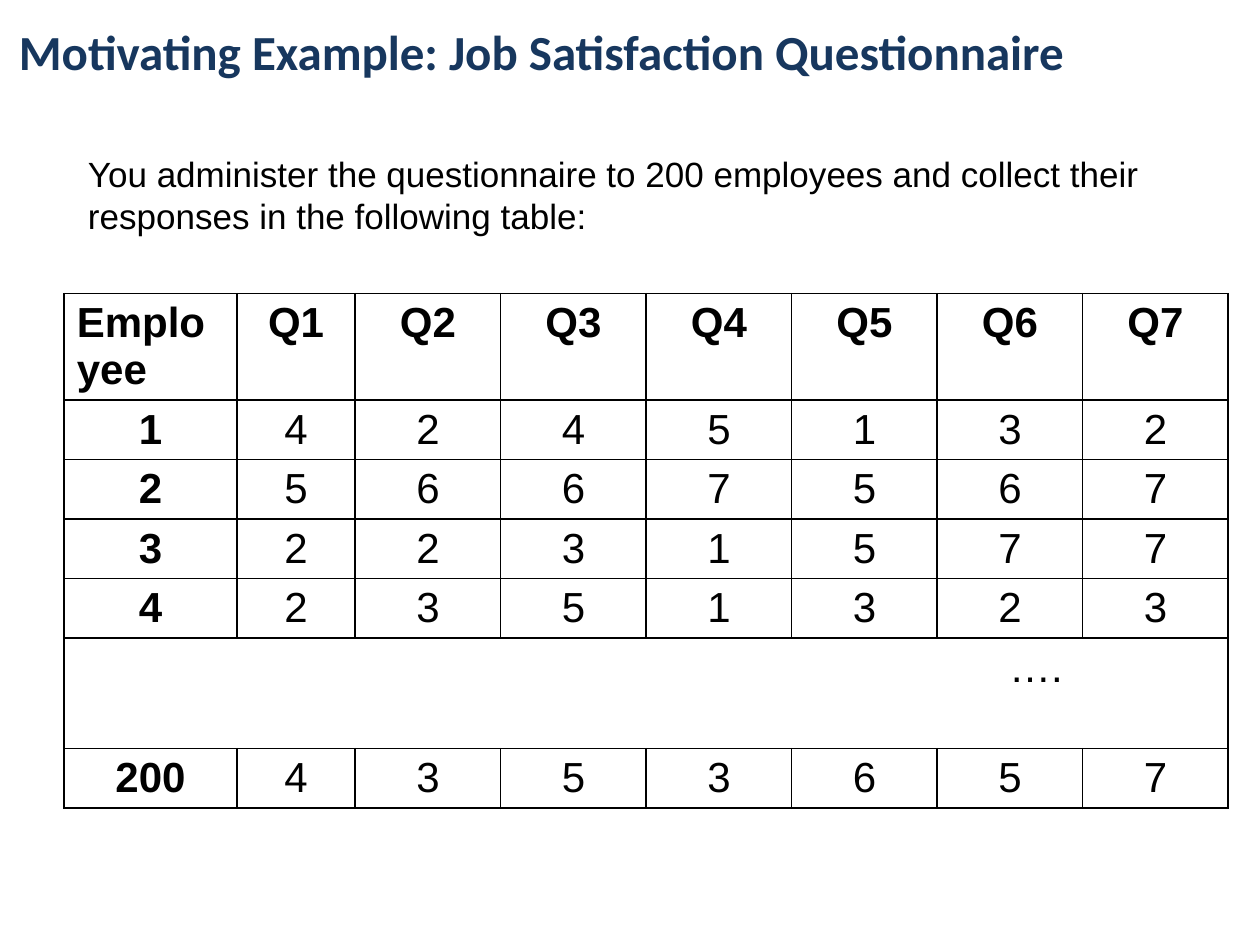
from lxml import etree
from pptx import Presentation
from pptx import util as u
from pptx.dml.color import RGBColor
from pptx.enum import text
from pptx.oxml.ns import qn

COLORS = {"title": "17375E", "ink": "000000", "paper": "FFFFFF"}
TITLE_FONT = {"name": "Calibri", "size": u.Pt(28), "bold": True}
INTRO_FONT = {"name": "Arial", "size": u.Pt(20), "bold": False}
CELL_FONT = {"name": "Arial", "size": u.Pt(24), "bold": False}
HEAD_FONT = {**CELL_FONT, "bold": True}

HEADER = ["Employee"] + [f"Q{number}" for number in range(1, 8)]
RESPONSES = [
    ("1", "4245132"),
    ("2", "5667567"),
    ("3", "2231577"),
    ("4", "2351323"),
    None,
    ("200", "4353657"),
]
TABLE_BOX = (0.51, 2.33, 9.24, 4.08)
EMPLOYEE_WIDTH, Q1_WIDTH = 1.37, 0.94
HEADER_HEIGHT, ROW_HEIGHT, GAP_HEIGHT = 0.84, 0.47, 0.88
ELLIPSIS_INDENT = 7.4


def inches(*lengths):
    return [u.Inches(length) for length in lengths]


def write(text_frame, words, font_values, color, align=text.PP_ALIGN.LEFT):
    paragraph = text_frame.paragraphs[0]
    paragraph.alignment = align
    run = paragraph.add_run()
    run.text = words
    for name, value in font_values.items():
        setattr(run.font, name, value)
    run.font.color.rgb = RGBColor.from_string(COLORS[color])
    return paragraph


def add_title(slide, words):
    title = slide.shapes.title
    title.left, title.top, title.width, title.height = inches(0.05, 0.05, 8.58, 0.71)
    title.text_frame.auto_size = text.MSO_AUTO_SIZE.NONE
    title.text_frame.vertical_anchor = text.MSO_ANCHOR.MIDDLE
    write(title.text_frame, words, TITLE_FONT, "title")


def add_intro(slide, words):
    box = slide.shapes.add_textbox(*inches(0.6, 1.16, 9.06, 0.77))
    box.text_frame.word_wrap = True
    write(box.text_frame, words, INTRO_FONT, "ink")


def frame_cell(cell):
    """Give a cell thin borders on all sides and a plain fill."""
    properties = cell._tc.get_or_add_tcPr()
    for side in "LRTB":
        line = etree.SubElement(properties, qn(f"a:ln{side}"), w=str(u.Pt(1)))
        fill = etree.SubElement(line, qn("a:solidFill"))
        etree.SubElement(fill, qn("a:srgbClr"), val=COLORS["ink"])
    cell.fill.solid()
    cell.fill.fore_color.rgb = RGBColor.from_string(COLORS["paper"])


def fill_row(table, row, values):
    for column, value in enumerate(values):
        font = HEAD_FONT if row == 0 or column == 0 else CELL_FONT
        corner = row == 0 and column == 0
        align = text.PP_ALIGN.LEFT if corner else text.PP_ALIGN.CENTER
        write(table.cell(row, column).text_frame, value, font, "ink", align)


def fill_gap_row(table, row):
    """Merge the row and indent an ellipsis for the employees left out."""
    cell = table.cell(row, 0)
    cell.merge(table.cell(row, len(HEADER) - 1))
    paragraph = write(cell.text_frame, "….", CELL_FONT, "ink")
    properties = paragraph._p.get_or_add_pPr()
    properties.set("marL", str(u.Inches(ELLIPSIS_INDENT)))
    properties.set("indent", "0")


def add_response_table(slide):
    count = len(HEADER)
    frame = slide.shapes.add_table(len(RESPONSES) + 1, count, *inches(*TABLE_BOX))
    table = frame.table
    table.first_row = table.horz_banding = False

    other_width = (TABLE_BOX[2] - EMPLOYEE_WIDTH - Q1_WIDTH) / (count - 2)
    widths = [EMPLOYEE_WIDTH, Q1_WIDTH] + [other_width] * (count - 2)
    for column, width in zip(table.columns, widths):
        column.width = u.Inches(width)
    for cell in table.iter_cells():
        frame_cell(cell)

    table.rows[0].height = u.Inches(HEADER_HEIGHT)
    fill_row(table, 0, HEADER)
    for row, response in enumerate(RESPONSES, start=1):
        table.rows[row].height = u.Inches(ROW_HEIGHT if response else GAP_HEIGHT)
        if response:
            employee, answers = response
            fill_row(table, row, [employee, *answers])
        else:
            fill_gap_row(table, row)


def main():
    presentation = Presentation()
    presentation.slide_width, presentation.slide_height = inches(10, 7.5)
    title_only = presentation.slide_layouts[5]
    slide = presentation.slides.add_slide(title_only)
    add_response_table(slide)
    add_title(slide, "Motivating Example: Job Satisfaction Questionnaire")
    add_intro(slide, "You administer the questionnaire to 200 employees and collect "
                     "their responses in the following table:")
    presentation.save("out.pptx")


if __name__ == "__main__":
    main()
